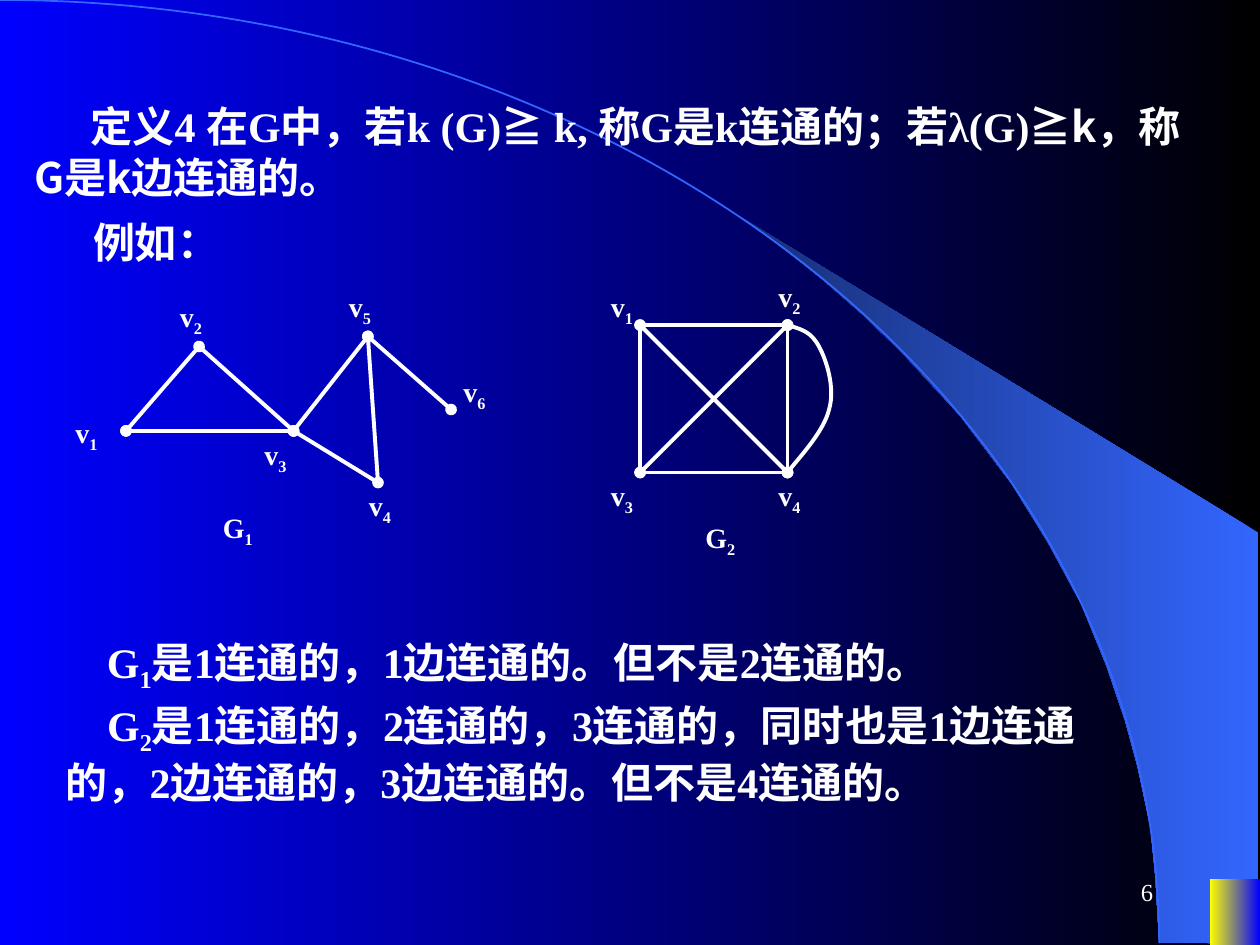
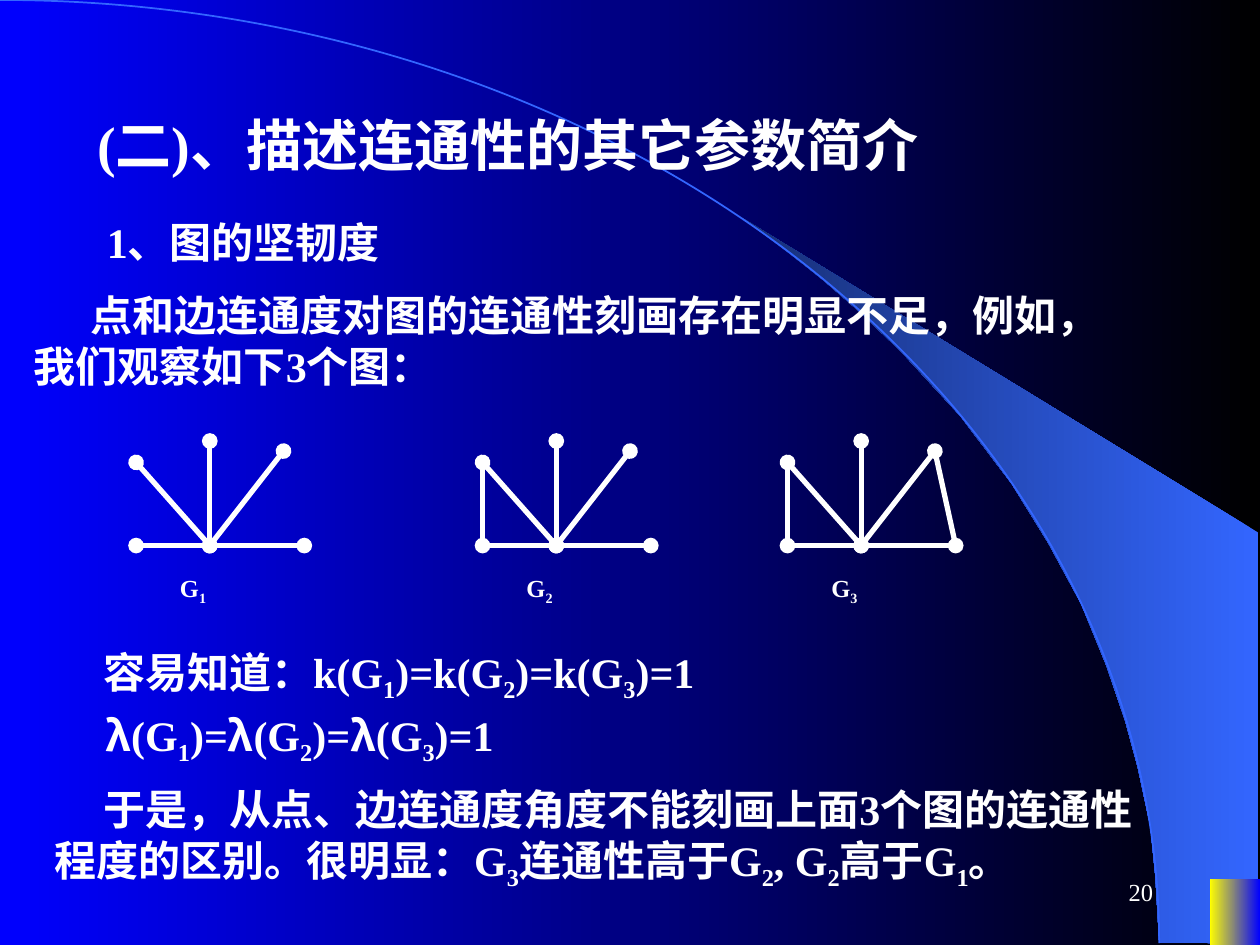
from dataclasses import dataclass, field

from lxml import etree
from pptx import Presentation
from pptx.dml.color import RGBColor
from pptx.enum.shapes import MSO_CONNECTOR, MSO_SHAPE
from pptx.enum.text import MSO_ANCHOR, MSO_AUTO_SIZE, PP_ALIGN
from pptx.oxml.ns import qn
from pptx.util import Inches, Pt

STRAIGHT = MSO_CONNECTOR.STRAIGHT
RECTANGLE, ARC = MSO_SHAPE.RECTANGLE, MSO_SHAPE.ARC
TOP, MIDDLE = MSO_ANCHOR.TOP, MSO_ANCHOR.MIDDLE
LEFT, RIGHT = PP_ALIGN.LEFT, PP_ALIGN.RIGHT
NO_AUTOFIT = MSO_AUTO_SIZE.NONE

SERIF, SANS = "Times New Roman", "Noto Sans CJK SC"
WHITE, BLACK, BLUE, YELLOW = "FFFFFF", "000000", "0000FF", "FFFF00"
SKY, NAVY = "3366FF", "172F75"

Point = tuple[float, float]

WEDGE = [
    (9.2, 7.48), (9.99, 7.49), (9.99, 4.23), (5.89, 1.73), (6.24, 1.99),
    (6.53, 2.22), (6.85, 2.5), (7.16, 2.8), (7.62, 3.3), (8.03, 3.84),
    (8.32, 4.31), (8.58, 4.79), (8.78, 5.28), (8.93, 5.72), (9.03, 6.09),
    (9.13, 6.56), (9.17, 6.96), (9.2, 7.48),
]


@dataclass
class Label:
    text: str
    left: float
    top: float
    width: float = 0.52
    height: float = 0.41


@dataclass
class Graph:
    vertices: dict[str, Point]
    dotted_edges: list[str]
    plain_edges: list[str]
    labels: list[Label]
    width: float = 2.25
    size: float = 16
    loop: list[Point] = field(default_factory=list)


TRIANGLES = Graph(
    {"1": (1, 3.42), "2": (1.58, 2.75), "3": (2.33, 3.42),
     "4": (3, 3.83), "5": (2.92, 2.67), "6": (3.58, 3.25)},
    ["21", "13", "35", "34", "56"], ["23", "54"],
    [Label("G_1", 1.67, 4, 0.67), Label("v_5", 2.67, 2.25),
     Label("v_4", 2.83, 3.83), Label("v_3", 2, 3.42), Label("v_2", 1.33, 2.33),
     Label("v_1", 0.5, 3.25), Label("v_6", 3.58, 2.92)],
)
SQUARE = Graph(
    {"1": (5.08, 2.58), "2": (6.25, 2.58), "3": (5.08, 3.75), "4": (6.25, 3.75)},
    ["13", "12", "34", "24"], ["14", "23"],
    [Label("G_2", 5.5, 4.08, 0.75), Label("v_4", 6.08, 3.75),
     Label("v_3", 4.75, 3.75), Label("v_2", 6.08, 2.17), Label("v_1", 4.75, 2.25)],
    loop=[(6.25, 2.58), (6.35, 2.61), (6.44, 2.64), (6.5, 2.75),
          (6.56, 2.86), (6.63, 3.08), (6.58, 3.25),
          (6.54, 3.42), (6.31, 3.67), (6.25, 3.75)],
)


def fan(name: str, left: float, plain_edges: list[str]) -> Graph:
    base, middle = 4.33, left + 0.585
    vertices = {
        "a": (left, base), "b": (left, 3.67), "c": (middle, 3.5),
        "d": (left + 1.17, 3.58), "e": (left + 1.335, base), "h": (middle, base),
    }
    return Graph(vertices, ["ae", "ch", "bh", "dh"], plain_edges,
                 [Label(name, left + 0.25, 4.5, 0.6, 0.37)], width=3, size=14)


def colour(code: str) -> RGBColor:
    return RGBColor.from_string(code)


def gradient(fill, first: str, last: str) -> None:
    fill.gradient()
    fill.gradient_angle = 180
    for stop, code in zip(fill.gradient_stops, (first, last)):
        stop.color.rgb = colour(code)


def outline(shapes, points: list[Point]):
    spots = [(Inches(x), Inches(y)) for x, y in points]
    builder = shapes.build_freeform(*spots[0])
    builder.add_line_segments(spots[1:], close=False)
    shape = builder.convert_to_shape()
    shape.shadow.inherit = False
    return shape


def bend(shape) -> None:
    segments = list(shape.element.iter(qn("a:lnTo")))
    for first in range(0, len(segments), 3):
        curve = etree.Element(qn("a:cubicBezTo"))
        segments[first].addprevious(curve)
        for segment in segments[first:first + 3]:
            curve.append(segment[0])
            segment.getparent().remove(segment)


def stroke(shape, code: str, width: float, dots: bool = False) -> None:
    shape.line.color.rgb = colour(code)
    shape.line.width = Pt(width)
    if dots:
        line = shape.element.spPr.find(qn("a:ln"))
        for end in ("a:headEnd", "a:tailEnd"):
            etree.SubElement(line, qn(end), type="oval")


def add_span(para, text: str, size: float, bold: bool, font: str,
             subscript: bool = False, spacing: int = 0) -> None:
    span = para.add_run()
    span.text = text
    span.font.size = Pt(size)
    span.font.bold = bold
    span.font.color.rgb = colour(WHITE)
    span.font.name = font
    properties = span._r.get_or_add_rPr()
    etree.SubElement(properties, qn("a:ea"), typeface=SANS)
    if subscript:
        properties.set("baseline", "-25000")
    if spacing:
        properties.set("spc", str(spacing))


def write(para, text: str, size: float, bold: bool) -> None:
    """An underscore lowers the next character; bars enclose sans text or a wide space."""
    for number, chunk in enumerate(text.split("|")):
        font = (SERIF, SANS)[number % 2]
        if chunk == " ":
            add_span(para, chunk, size, bold, font, spacing=1080)
            continue
        for position, piece in enumerate(chunk.split("_")):
            lowered, plain = (piece[:1], piece[1:]) if position else ("", piece)
            if lowered:
                add_span(para, lowered, size, bold, font, subscript=True)
            if plain:
                add_span(para, plain, size, bold, font)


def fill_text(box, text: str, indent: float = 0, size: float = 24, bold: bool = True,
              align=LEFT, anchor=TOP) -> None:
    frame = box.text_frame
    frame.word_wrap = True
    frame.auto_size = NO_AUTOFIT
    frame.vertical_anchor = anchor
    para = frame.paragraphs[0]
    properties = para._p.get_or_add_pPr()
    properties.set("marL", "0")
    properties.set("indent", str(Inches(indent)))
    etree.SubElement(properties, qn("a:buNone"))
    para.alignment = align
    para.space_before = Pt(0)
    write(para, text, size, bold)


def add_text(shapes, left: float, top: float, width: float, height: float,
             text: str, **style) -> None:
    box = shapes.add_textbox(Inches(left), Inches(top), Inches(width), Inches(height))
    fill_text(box, text, **style)


def place(holder, left: float, top: float, width: float, height: float,
          text: str, **style) -> None:
    holder.left, holder.top = Inches(left), Inches(top)
    holder.width, holder.height = Inches(width), Inches(height)
    fill_text(holder, text, **style)


def draw_graph(page, graph: Graph) -> None:
    shapes = page.shapes.add_group_shape().shapes
    for edges, dots in ((graph.dotted_edges, True), (graph.plain_edges, False)):
        for start, end in edges:
            ends = [Inches(value) for name in (start, end)
                    for value in graph.vertices[name]]
            edge = shapes.add_connector(STRAIGHT, *ends)
            stroke(edge, WHITE, graph.width, dots)
            etree.SubElement(edge.element.spPr, qn("a:effectLst"))
    if graph.loop:
        loop = outline(shapes, graph.loop)
        bend(loop)
        loop.fill.background()
        stroke(loop, WHITE, graph.width, dots=True)
    for label in graph.labels:
        add_text(shapes, label.left, label.top, label.width, label.height,
                 label.text, size=graph.size)


def add_preset(page, kind, left: float, top: float, width: float, height: float):
    shape = page.shapes.add_shape(
        kind, Inches(left), Inches(top), Inches(width), Inches(height))
    shape.shadow.inherit = False
    return shape


def decorate_master(deck, page) -> None:
    master = deck.slide_master
    gradient(master.background.fill, BLACK, BLUE)

    wedge = outline(page.shapes, WEDGE)
    gradient(wedge.fill, SKY, NAVY)
    wedge.line.fill.background()

    arc = add_preset(page, ARC, -9.2, 0, 18.4, 14.97)
    arc.fill.background()
    stroke(arc, SKY, 1)

    corner = add_preset(page, RECTANGLE, 9.6, 6.98, 0.4, 0.52)
    gradient(corner.fill, BLUE, YELLOW)
    corner.line.fill.background()

    for number, shape in enumerate((wedge, arc, corner), start=101):
        shape.element.nvSpPr.cNvPr.set("id", str(number))
        master.shapes.element.append(shape.element)


def add_page_number(page, number: int) -> None:
    add_text(page.shapes, 7.17, 6.83, 2.08, 0.5, str(number),
             size=14, bold=False, align=RIGHT, anchor=MIDDLE)


def build_definition(page) -> None:
    place(page.shapes.title, 0.17, 0.75, 9.5, 0.9,
          "定义4 在G中，若k (G)|≧| k, 称G是k连通的；若λ(G)|≧k，称G是k边连通的。",
          indent=0.45)
    add_text(page.shapes, 0.33, 1.67, 8.25, 0.5, "例如：", indent=0.31)
    for graph in (TRIANGLES, SQUARE):
        draw_graph(page, graph)
    add_text(page.shapes, 0.33, 5, 8.92, 0.56,
             "G_1是1连通的，1边连通的。但不是2连通的。", indent=0.42)
    place(page.placeholders[1], 0.42, 5.5, 8.58, 0.96,
          "G_2是1连通的，2连通的，3连通的，同时也是1边连通| |的，"
          "2边连通的，3边连通的。但不是4连通的。", indent=0.33)
    add_page_number(page, 6)


def build_toughness(page) -> None:
    place(page.shapes.title, 0.67, 0.83, 7.33, 0.64,
          "(二)、描述连通性的其它参数简介", size=32)
    add_text(page.shapes, 0.33, 1.67, 8.92, 0.5, "1、图的坚韧度", indent=0.42)
    add_text(page.shapes, 0.17, 2.25, 8.92, 0.9,
             "点和边连通度对图的连通性刻画存在明显不足，例如，我们观察如下3个图：",
             indent=0.45)
    for graph in (fan("G_1", 1.08, []), fan("G_2", 3.83, ["ba"]),
                  fan("G_3", 6.25, ["ba", "de"])):
        draw_graph(page, graph)
    add_text(page.shapes, 0.33, 5.08, 8.92, 0.56,
             "容易知道：k(G_1)=k(G_2)=k(G_3)=1", indent=0.39)
    add_text(page.shapes, 0.25, 5.58, 8.92, 0.56,
             "|λ|(G_1)=|λ|(G_2)=|λ|(G_3)=1", indent=0.49)
    place(page.placeholders[1], 0.33, 6.17, 8.92, 0.96,
          "于是，从点、边连通度角度不能刻画上面3个图的连通性程度的区别。"
          "很明显：G_3连通性高于G_2, G_2高于G_1。", indent=0.39)
    add_page_number(page, 20)


def main() -> None:
    deck = Presentation()
    deck.slide_width, deck.slide_height = Inches(10), Inches(7.5)
    layout = deck.slide_layouts[1]
    definition, toughness = (deck.slides.add_slide(layout) for _ in range(2))
    decorate_master(deck, definition)
    build_definition(definition)
    build_toughness(toughness)
    deck.save("out.pptx")


if __name__ == "__main__":
    main()
